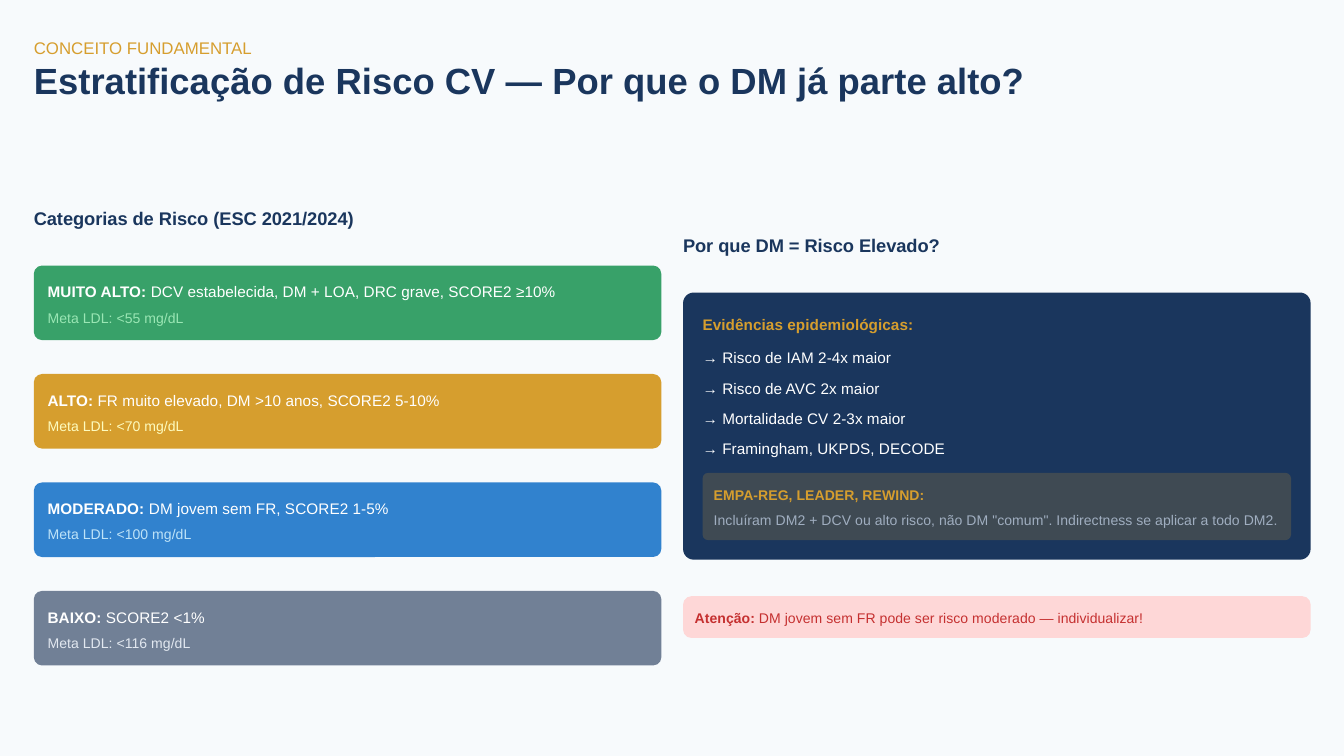
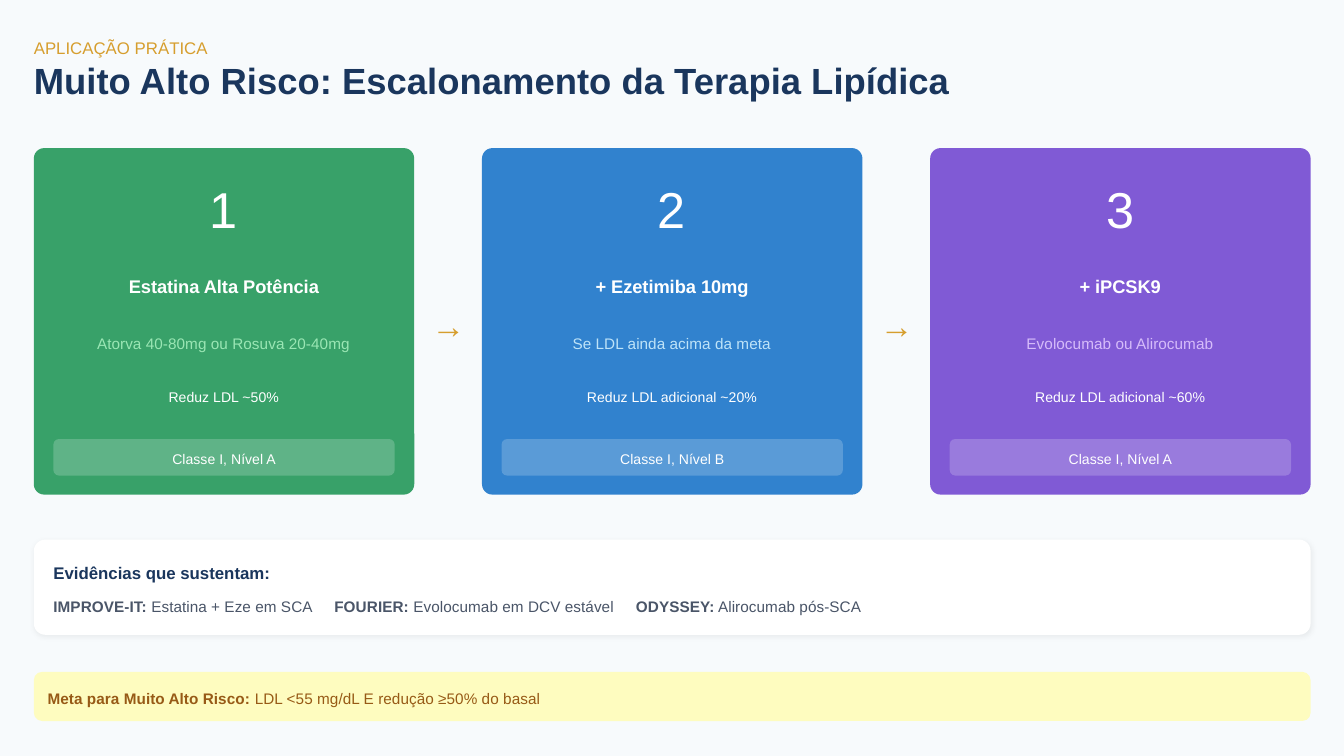
from lxml.etree import SubElement
from pptx import Presentation
from pptx.dml.color import RGBColor
from pptx.enum.shapes import MSO_SHAPE
from pptx.enum.text import PP_ALIGN
from pptx.oxml.ns import qn
from pptx.util import Cm, Pt

HUES = {
    "page": "F7FAFC", "navy": "1A365D", "gold": "D69E2E", "white": "FFFFFF",
    "green": "38A169", "mint": "9AE6B4", "blue": "3182CE", "sky": "BEE3F8",
    "purple": "805AD5", "lilac": "D6BCFA", "slate": "718096", "mist": "E2E8F0",
    "cream": "FEFCBF", "brown": "975A16", "rose": "FED7D7", "red": "C53030",
    "ash": "A0AEC0", "ink": "4A5568",
}
HUES = {name: RGBColor.from_string(code) for name, code in HUES.items()}
EDGE, FULL = 0.64, 24.13    # left margin and content width
HALF, RIGHT = 11.86, 12.91  # column width and start of the right column


def text(slide, left, top, width, words, size=8.25, hue="white",
         bold=False, lead="", ratio=1.4, align=None):
    """Add one line of text, with an optional bold lead-in."""
    line = Pt(size * ratio)
    frame = slide.shapes.add_textbox(Cm(left), Cm(top), Cm(width), line).text_frame
    frame.margin_left = frame.margin_right = 0
    frame.margin_top = frame.margin_bottom = 0
    frame.word_wrap = True
    para = frame.paragraphs[0]
    para.line_spacing = line
    para.alignment = align
    for part, heavy in ((lead, True), (words, bold)):
        if part:
            run = para.add_run()
            run.text = part
            run.font.name = "Arial"
            run.font.size = Pt(size)
            run.font.bold = heavy
            run.font.color.rgb = HUES[hue]


def box(slide, left, top, width, height, hue, curve, alpha=None):
    """Add a rounded box without outline; alpha is a percentage."""
    shape = slide.shapes.add_shape(
        MSO_SHAPE.ROUNDED_RECTANGLE, Cm(left), Cm(top), Cm(width), Cm(height))
    shape.adjustments[0] = curve
    shape.shadow.inherit = False
    shape.line.fill.background()
    shape.fill.solid()
    shape.fill.fore_color.rgb = HUES[hue]
    if alpha:
        tint = shape._element.spPr.find(qn("a:solidFill"))[0]
        SubElement(tint, qn("a:alpha"), val=str(alpha * 1000))
    return shape


deck = Presentation()
deck.slide_width, deck.slide_height = Cm(25.4), Cm(14.29)

# Background and heading of both slides
heads = [
    ("CONCEITO FUNDAMENTAL", "Estratificação de Risco CV — Por que o DM já parte alto?"),
    ("APLICAÇÃO PRÁTICA", "Muito Alto Risco: Escalonamento da Terapia Lipídica"),
]
pages = []
for topic, title in heads:
    page = deck.slides.add_slide(deck.slide_layouts[6])
    page.background.fill.solid()
    page.background.fill.fore_color.rgb = HUES["page"]
    text(page, EDGE, 0.64, FULL, topic, size=9, hue="gold")
    text(page, EDGE, 1.24, FULL, title, size=19.5, hue="navy", bold=True, ratio=1)
    pages.append(page)
risk, steps = pages

# Slide 1, left: risk categories
text(risk, EDGE, 3.86, HALF, "Categorias de Risco (ESC 2021/2024)",
     size=9.75, hue="navy", bold=True)
levels = [
    ("MUITO ALTO:", " DCV estabelecida, DM + LOA, DRC grave, SCORE2 ≥10%", "55", "green", "mint"),
    ("ALTO:", " FR muito elevado, DM >10 anos, SCORE2 5-10%", "70", "gold", "cream"),
    ("MODERADO:", " DM jovem sem FR, SCORE2 1-5%", "100", "blue", "sky"),
    ("BAIXO:", " SCORE2 <1%", "116", "slate", "mist"),
]
for row, (level, rule, goal, fill, pale) in enumerate(levels):
    top = 5.02 + row * 2.05
    box(risk, EDGE, top, HALF, 1.41, fill, 0.11)
    text(risk, 0.9, top + 0.26, 11.56, rule, lead=level)
    text(risk, 0.9, top + 0.77, 11.56, f"Meta LDL: <{goal} mg/dL", size=7.5, hue=pale)

# Slide 1, right: evidence panel
text(risk, RIGHT, 4.36, HALF, "Por que DM = Risco Elevado?",
     size=9.75, hue="navy", bold=True)
box(risk, RIGHT, 5.53, HALF, 5.05, "navy", 0.04)
text(risk, 13.28, 5.9, 11.33, "Evidências epidemiológicas:", hue="gold", bold=True)
facts = ["Risco de IAM 2-4x maior", "Risco de AVC 2x maior",
         "Mortalidade CV 2-3x maior", "Framingham, UKPDS, DECODE"]
for row, fact in enumerate(facts):
    text(risk, 13.28, 6.53 + row * 0.57, 11.33, f"→ {fact}")
box(risk, 13.28, 8.94, 11.12, 1.27, "gold", 0.08, alpha=20)
text(risk, 13.49, 9.14, 10.9, "EMPA-REG, LEADER, REWIND:", size=7.5, hue="gold", bold=True)
text(risk, 13.49, 9.62, 10.9,
     'Incluíram DM2 + DCV ou alto risco, não DM "comum". Indirectness se aplicar a todo DM2.',
     size=7.5, hue="ash")

# Slide 1, right: warning
box(risk, RIGHT, 11.27, HALF, 0.79, "rose", 0.2)
text(risk, 13.13, 11.47, 11.64, " DM jovem sem FR pode ser risco moderado — individualizar!",
     size=7.5, hue="red", lead="Atenção:")

# Slide 2: therapy cards with arrows between them
cards = [
    ("Estatina Alta Potência", "Atorva 40-80mg ou Rosuva 20-40mg",
     "Reduz LDL ~50%", "A", "green", "mint"),
    ("+ Ezetimiba 10mg", "Se LDL ainda acima da meta",
     "Reduz LDL adicional ~20%", "B", "blue", "sky"),
    ("+ iPCSK9", "Evolocumab ou Alirocumab",
     "Reduz LDL adicional ~60%", "A", "purple", "lilac"),
]
for col, (drug, dose, effect, grade, fill, pale) in enumerate(cards):
    left = EDGE + col * 8.47
    box(steps, left, 2.8, 7.19, 6.55, fill, 0.03)
    lines = [
        (3.18, str(col + 1), 27, "white", False),
        (5.13, drug, 9.75, "white", True),
        (6.25, dose, 8.25, pale, False),
        (7.29, effect, 7.5, "white", False),
    ]
    for top, words, size, hue, bold in lines:
        text(steps, left + 0.3, top, 6.58, words, size=size, hue=hue,
             bold=bold, align=PP_ALIGN.CENTER)
    box(steps, left + 0.37, 8.3, 6.45, 0.69, "white", 0.15, alpha=20)
    text(steps, left + 0.47, 8.46, 6.25, f"Classe I, Nível {grade}",
         size=7.5, align=PP_ALIGN.CENTER)
    if col < len(cards) - 1:
        text(steps, left + 7.52, 5.64, 0.66, "→", size=18, hue="gold")

# Slide 2: supporting trials on a softly shadowed panel
panel = box(steps, EDGE, 10.2, FULL, 1.8, "white", 0.12)
shade = SubElement(panel._element.spPr.find(qn("a:effectLst")), qn("a:outerShdw"),
                   blurRad=str(Pt(3)), dist=str(Pt(0.8)), dir="5400000")
tone = SubElement(shade, qn("a:srgbClr"), val="000000")
SubElement(tone, qn("a:alpha"), val="6000")
text(steps, 1.01, 10.57, 23.85, "Evidências que sustentam:", size=9, hue="navy", bold=True)
trials = [
    (1.01, 4.98, "IMPROVE-IT:", " Estatina + Eze em SCA"),
    (6.32, 5.38, "FOURIER:", " Evolocumab em DCV estável"),
    (12.02, 4.34, "ODYSSEY:", " Alirocumab pós-SCA"),
]
for left, width, trial, scope in trials:
    text(steps, left, 11.23, width, scope, hue="ink", lead=trial)

# Slide 2: treatment goal
box(steps, EDGE, 12.7, FULL, 0.93, "cream", 0.17)
text(steps, 0.9, 12.96, 23.87, " LDL <55 mg/dL E redução ≥50% do basal",
     hue="brown", lead="Meta para Muito Alto Risco:")

deck.save("out.pptx")
